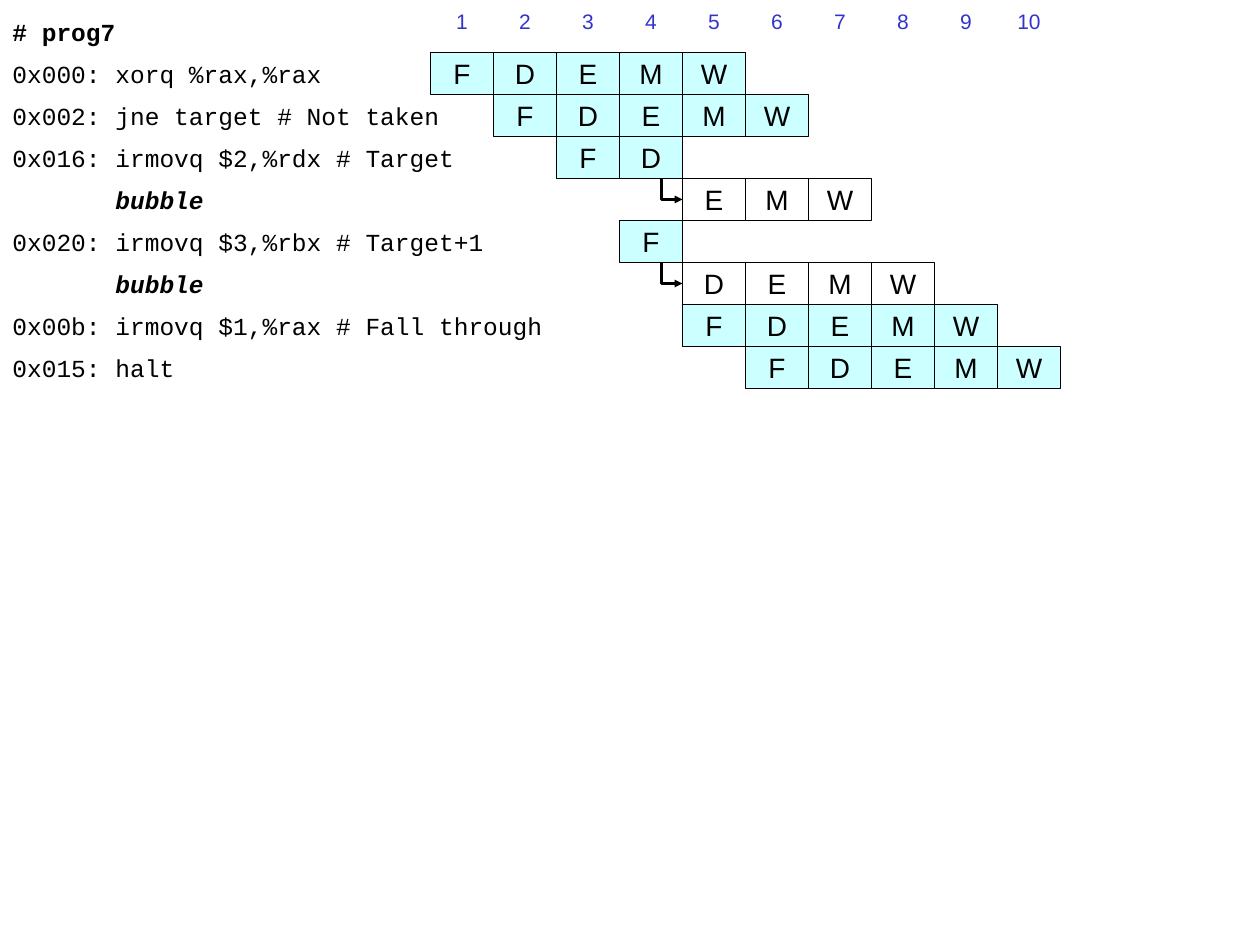
import pptx
import pptx.dml.color
import pptx.enum.shapes
import pptx.enum.text
import pptx.util
from lxml import etree
from pptx.oxml.ns import qn

PX = pptx.util.Inches(1) // 96
BLACK = pptx.dml.color.RGBColor(0x00, 0x00, 0x00)
WHITE = pptx.dml.color.RGBColor(0xFF, 0xFF, 0xFF)
CYAN = pptx.dml.color.RGBColor(0xCC, 0xFF, 0xFF)
BLUE = pptx.dml.color.RGBColor(0x33, 0x33, 0xCC)

CELL_WIDTH, ROW_HEIGHT = 48, 32
CODE_WIDTH = 272
CYCLES = 10
STAGES = "FDEMW"

# Code, first cycle, stages; a bubble takes over the stages left by the row above.
BUBBLE = "       bubble"
PROGRAM = [
    ("0x000: xorq %rax,%rax", 1, STAGES),
    ("0x002: jne target # Not taken", 2, STAGES),
    ("0x016: irmovq $2,%rdx # Target", 3, "FD"),
    (BUBBLE, 5, "EMW"),
    ("0x020: irmovq $3,%rbx # Target+1", 4, "F"),
    (BUBBLE, 5, "DEMW"),
    ("0x00b: irmovq $1,%rax # Fall through", 5, STAGES),
    ("0x015: halt", 6, STAGES),
]


def add_box(shapes, left, top, width, text, font_name, size, color, fill,
            outlined=False, centered=True):
    """Add a one-line rectangle of row height and return its font."""
    shape = shapes.add_shape(
        pptx.enum.shapes.MSO_SHAPE.RECTANGLE,
        left * PX, top * PX, width * PX, ROW_HEIGHT * PX)
    shape.shadow.inherit = False
    shape.fill.solid()
    shape.fill.fore_color.rgb = fill
    if outlined:
        shape.line.color.rgb = BLACK
        shape.line.width = pptx.util.Pt(1)
    else:
        shape.line.fill.background()
    text_frame = shape.text_frame
    text_frame.word_wrap = False
    text_frame.vertical_anchor = pptx.enum.text.MSO_ANCHOR.MIDDLE
    text_frame.text = text
    paragraph = text_frame.paragraphs[0]
    alignment = pptx.enum.text.PP_ALIGN
    paragraph.alignment = alignment.CENTER if centered else alignment.LEFT
    font = paragraph.runs[0].font
    font.name = font_name
    font.size = pptx.util.Pt(size)
    font.color.rgb = color
    return font


def add_code(slide, left, top):
    lines = ["# prog7"] + [code for code, _, _ in PROGRAM]
    for row, line in enumerate(lines):
        font = add_box(slide.shapes, left, top + row * ROW_HEIGHT, CODE_WIDTH,
                       line, "Courier New", 14, BLACK, WHITE, centered=False)
        font.bold = row == 0 or line == BUBBLE
        font.italic = line == BUBBLE


def add_cycle_numbers(slide, left, top):
    for column in range(CYCLES):
        add_box(slide.shapes, left + column * CELL_WIDTH, top, CELL_WIDTH,
                str(column + 1), "Arial", 12, BLUE, WHITE)


def add_bubble_arrow(slide, left, top, size):
    """Add an elbow that runs down, then right to an arrowhead."""
    builder = slide.shapes.build_freeform(left, top, scale=PX)
    builder.add_line_segments(
        [(left, top + size), (left + size, top + size)], close=False)
    arrow = builder.convert_to_shape()
    arrow.shadow.inherit = False
    arrow.fill.background()
    arrow.line.color.rgb = BLACK
    arrow.line.width = pptx.util.Pt(2.25)
    etree.SubElement(arrow.line._get_or_add_ln(), qn("a:tailEnd"),
                     type="triangle", w="sm", len="sm")


def add_pipeline(slide, left, top):
    """Add the stage cells, grouping each instruction that runs all stages."""
    for row, (code, first_cycle, stages) in enumerate(PROGRAM):
        row_left = left + (first_cycle - 1) * CELL_WIDTH
        row_top = top + row * ROW_HEIGHT
        shapes = slide.shapes
        if stages == STAGES:
            shapes = shapes.add_group_shape().shapes
        for column, stage in enumerate(stages):
            add_box(shapes, row_left + column * CELL_WIDTH, row_top,
                    CELL_WIDTH, stage, "Arial", 16, BLACK,
                    WHITE if code == BUBBLE else CYAN, outlined=True)
        if code == BUBBLE:
            size = ROW_HEIGHT // 2
            add_bubble_arrow(slide, row_left - size, row_top, size)


def main():
    presentation = pptx.Presentation()
    presentation.slide_width = 960 * PX
    presentation.slide_height = 720 * PX
    slide = presentation.slides.add_slide(presentation.slide_layouts[6])
    add_code(slide, 0, 8)
    add_cycle_numbers(slide, 328, 0)
    add_pipeline(slide, 328, 40)
    presentation.save("out.pptx")


if __name__ == "__main__":
    main()
